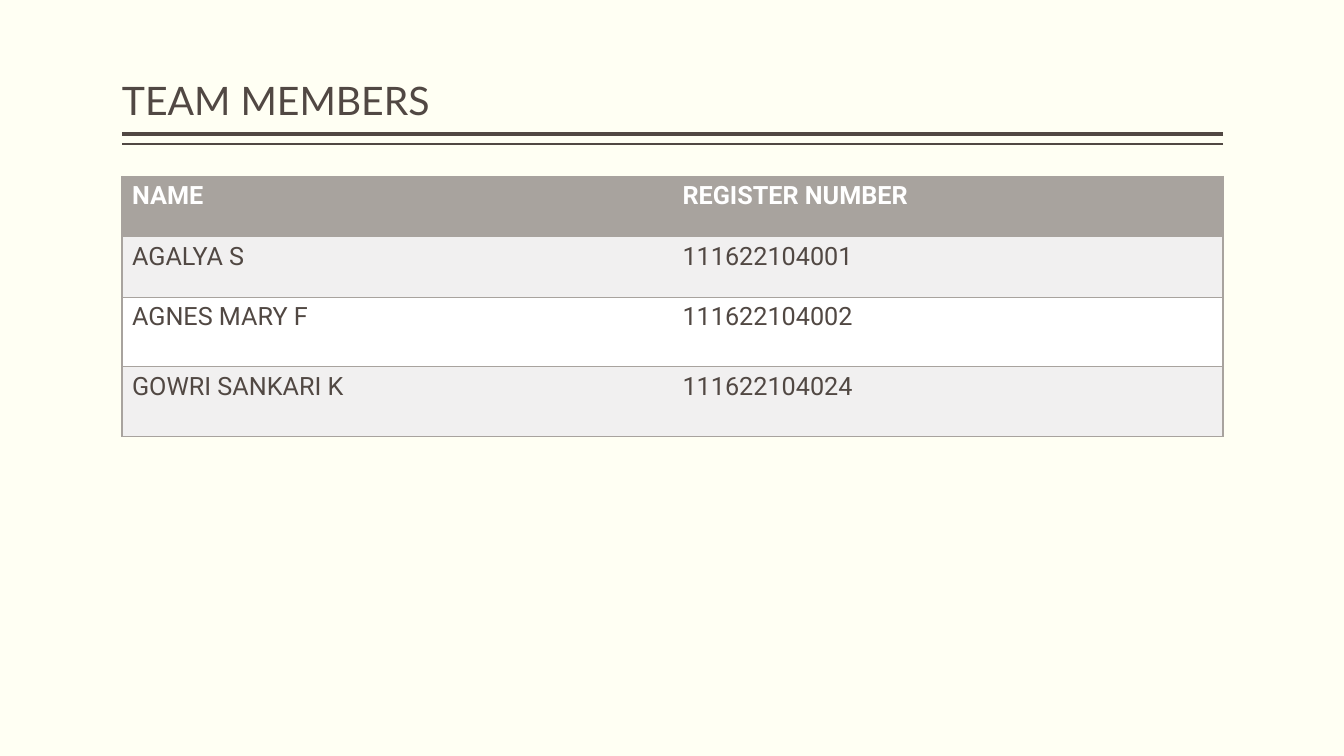
import dataclasses

import pptx
import pptx.dml.color
import pptx.enum.shapes
import pptx.enum.text
import pptx.oxml
import pptx.oxml.ns
import pptx.util

Inches = pptx.util.Inches
Pt = pptx.util.Pt

PAGE_WIDTH, PAGE_HEIGHT = 13.33, 7.5
MARGIN = 1.21
CONTENT_WIDTH = 10.92
TITLE_TOP, TITLE_HEIGHT = 0.08, 1.2
TABLE_TOP = 1.75
ROW_HEIGHTS = (0.6, 0.6, 0.69, 0.69)
RULES = ((1.33, 3), (1.43, 1))  # height on the page, line width

MEMBERS = (
    ("NAME", "REGISTER NUMBER"),
    ("AGALYA S", "111622104001"),
    ("AGNES MARY F", "111622104002"),
    ("GOWRI SANKARI K", "111622104024"),
)


@dataclasses.dataclass(frozen=True)
class Theme:
    background: str = "FFFFF3"
    ink: str = "514843"
    accent: str = "A8A39E"
    band: str = "F1F0F0"
    white: str = "FFFFFF"
    title_font: str = "Lato"
    body_font: str = "Roboto"
    title_size: int = 28
    body_size: int = 18
    border_width: int = 1


THEME = Theme()


def rgb(value):
    return pptx.dml.color.RGBColor.from_string(value)


def paint(fill, color):
    fill.solid()
    fill.fore_color.rgb = rgb(color)


def add_span(para, text, font_name, size, color, bold=False):
    span = para.add_run()
    span.text = text
    span.font.name = font_name
    span.font.size = Pt(size)
    span.font.bold = bold
    span.font.color.rgb = rgb(color)


def add_rule(page, top, width):
    rule = page.shapes.add_connector(
        pptx.enum.shapes.MSO_CONNECTOR.STRAIGHT,
        Inches(MARGIN + CONTENT_WIDTH), Inches(top), Inches(MARGIN), Inches(top))
    rule.line.color.rgb = rgb(THEME.ink)
    rule.line.width = Pt(width)
    rule._element.spPr.append(pptx.oxml.parse_xml(
        f"<a:effectLst {pptx.oxml.ns.nsdecls('a')}/>"))


def set_title(page, text):
    title = page.shapes.title
    title.left, title.top = Inches(MARGIN), Inches(TITLE_TOP)
    title.width, title.height = Inches(CONTENT_WIDTH), Inches(TITLE_HEIGHT)
    frame = title.text_frame
    frame.margin_left = frame.margin_right = 0
    frame.margin_top = frame.margin_bottom = Inches(0.05)
    frame.vertical_anchor = pptx.enum.text.MSO_ANCHOR.BOTTOM
    frame.auto_size = pptx.enum.text.MSO_AUTO_SIZE.NONE
    frame.word_wrap = True
    para = frame.paragraphs[0]
    para.alignment = pptx.enum.text.PP_ALIGN.LEFT
    para.line_spacing = 0.9
    add_span(para, text, THEME.title_font, THEME.title_size, THEME.ink)


def set_borders(cell, visible_sides):
    """Draw the named sides (L, R, T, B) and clear the others."""
    properties = cell._tc.get_or_add_tcPr()
    for position, side in enumerate("LRTB"):
        if side in visible_sides:
            stroke = f'<a:solidFill><a:srgbClr val="{THEME.accent}"/></a:solidFill>'
        else:
            stroke = "<a:noFill/>"
        properties.insert(position, pptx.oxml.parse_xml(
            f'<a:ln{side} {pptx.oxml.ns.nsdecls("a")} '
            f'w="{Pt(THEME.border_width)}">{stroke}</a:ln{side}>'))


def add_member_table(page, records):
    column_count = len(records[0])
    table = page.shapes.add_table(
        len(records), column_count, Inches(MARGIN), Inches(TABLE_TOP),
        Inches(CONTENT_WIDTH), Inches(sum(ROW_HEIGHTS))).table
    for column in table.columns:
        column.width = Inches(CONTENT_WIDTH / column_count)
    for row_index, (record, height) in enumerate(zip(records, ROW_HEIGHTS)):
        table.rows[row_index].height = Inches(height)
        is_header = row_index == 0
        if is_header:
            fill, color = THEME.accent, THEME.white
        else:
            fill = THEME.band if row_index % 2 else THEME.white
            color = THEME.ink
        for column_index, text in enumerate(record):
            cell = table.cell(row_index, column_index)
            paint(cell.fill, fill)
            left = "L" if column_index == 0 else ""
            right = "R" if column_index == column_count - 1 else ""
            set_borders(cell, "TB" + left + right)
            add_span(cell.text_frame.paragraphs[0], text, THEME.body_font,
                     THEME.body_size, color, bold=is_header)


def main():
    deck = pptx.Presentation()
    deck.slide_width, deck.slide_height = Inches(PAGE_WIDTH), Inches(PAGE_HEIGHT)
    page = deck.slides.add_slide(deck.slide_layouts.get_by_name("Title Only"))
    paint(page.background.fill, THEME.background)
    for top, width in RULES:
        add_rule(page, top, width)
    set_title(page, "TEAM MEMBERS")
    add_member_table(page, MEMBERS)
    deck.save("out.pptx")


if __name__ == "__main__":
    main()
